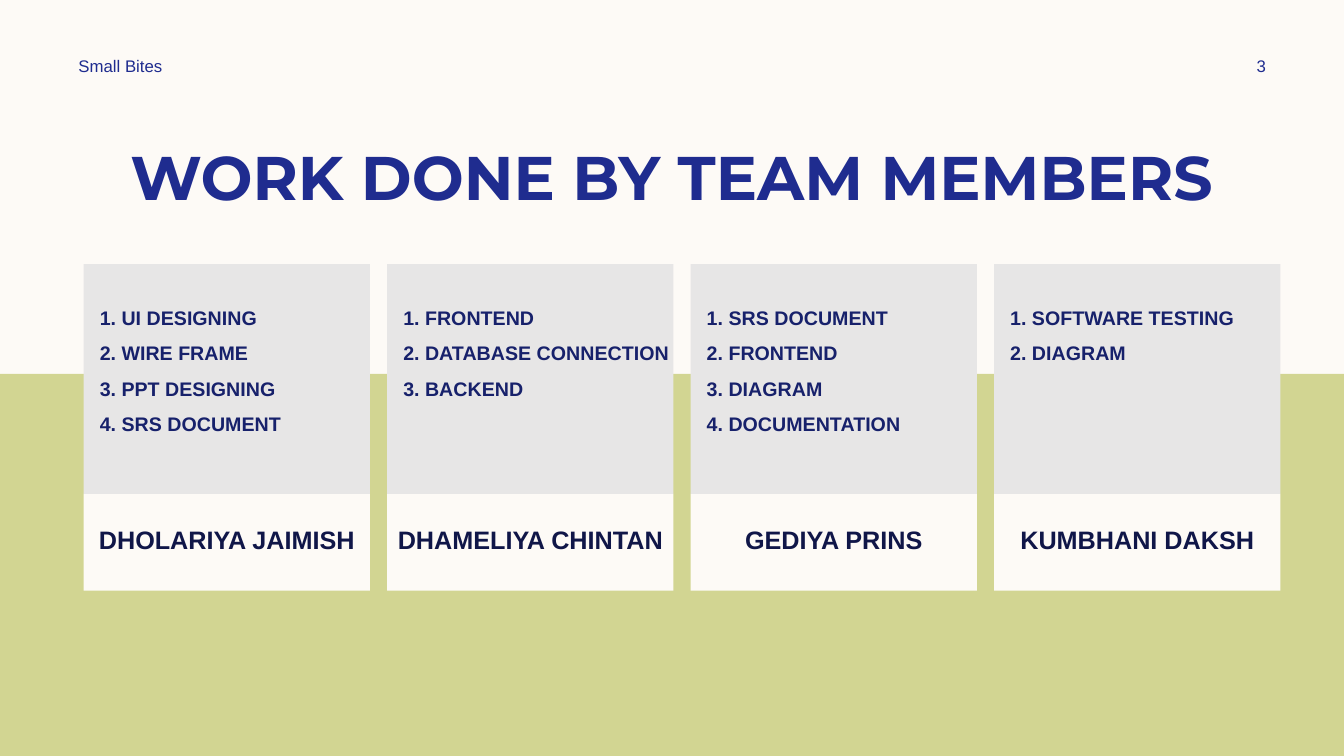
from pptx import Presentation, util as u
from pptx.dml.color import RGBColor
from pptx.enum import shapes, text

CREAM, BLUE = "FDFAF6", "1F2C8F"


def tint(code):
    return RGBColor.from_string(code)


class Deck:
    """Hold the style and the current slide, and draw its elements."""

    def __init__(self):
        self.prs = Presentation()
        self.prs.slide_width = u.Inches(13.33)
        self.prs.slide_height = u.Inches(7.5)
        self.slide = self.prs.slides.add_slide(self.prs.slide_layouts[6])
        fill = self.slide.background.fill
        fill.solid()
        fill.fore_color.rgb = tint(CREAM)

    def letter(self, shape, lines, size, color, bold=False, font="Arial",
               align=text.PP_ALIGN.LEFT, anchor=text.MSO_ANCHOR.TOP,
               inset=(0.1, 0.05, 0.1, 0.05), gap=1.0):
        frame = shape.text_frame
        frame.word_wrap = True
        frame.vertical_anchor = anchor
        (frame.margin_left, frame.margin_top, frame.margin_right,
         frame.margin_bottom) = [u.Inches(side) for side in inset]
        for n, line in enumerate(lines):
            para = frame.add_paragraph() if n else frame.paragraphs[0]
            para.alignment = align
            para.line_spacing = gap
            run = para.add_run()
            run.text = line
            run.font.name = font
            run.font.size = u.Pt(size)
            run.font.bold = bold
            run.font.color.rgb = tint(color)

    def label(self, box, line, size, **style):
        shape = self.slide.shapes.add_textbox(*map(u.Inches, box))
        self.letter(shape, [line], size, BLUE, **style)

    def block(self, box, color):
        shape = self.slide.shapes.add_shape(
            shapes.MSO_SHAPE.RECTANGLE, *map(u.Inches, box))
        shape.shadow.inherit = False
        shape.fill.solid()
        shape.fill.fore_color.rgb = tint(color)
        shape.line.fill.background()
        return shape

    def card(self, left, name, tasks):
        plate = self.block((left, 4.9, 2.84, 0.96), CREAM)
        self.letter(plate, [name], 18, "101648", bold=True,
                    align=text.PP_ALIGN.CENTER, inset=(0, 0.3, 0, 0.05))
        panel = self.block((left, 2.62, 2.84, 2.28), "E7E6E6")
        items = [f"{n}. {task}" for n, task in enumerate(tasks, 1)]
        self.letter(panel, items, 14, "17216B", bold=True, gap=1.5,
                    inset=(0.16, 0.3, 0, 0.05))


TEAM = {
    "DHOLARIYA JAIMISH": ["UI DESIGNING", "WIRE FRAME", "PPT DESIGNING",
                          "SRS DOCUMENT"],
    "DHAMELIYA CHINTAN": ["FRONTEND", "DATABASE CONNECTION", "BACKEND"],
    "GEDIYA PRINS": ["SRS DOCUMENT", "FRONTEND", "DIAGRAM", "DOCUMENTATION"],
    "KUMBHANI DAKSH": ["SOFTWARE TESTING", "DIAGRAM"],
}


def main():
    deck = Deck()
    deck.block((0, 3.71, 13.33, 3.79), "D2D592")
    deck.label((0.83, 1.33, 11.67, 0.84), "WORK DONE BY TEAM MEMBERS", 44,
               bold=True, font="Montserrat", align=text.PP_ALIGN.CENTER)
    middle = text.MSO_ANCHOR.MIDDLE
    deck.label((0.68, 0.5, 3.5, 0.3), "Small Bites", 12, anchor=middle)
    deck.label((11.97, 0.5, 1.08, 0.3), "3", 12, anchor=middle,
               align=text.PP_ALIGN.CENTER)
    for n, (name, tasks) in enumerate(TEAM.items()):
        deck.card(0.83 + 3.01 * n, name, tasks)
    deck.prs.save("out.pptx")


if __name__ == "__main__":
    main()
